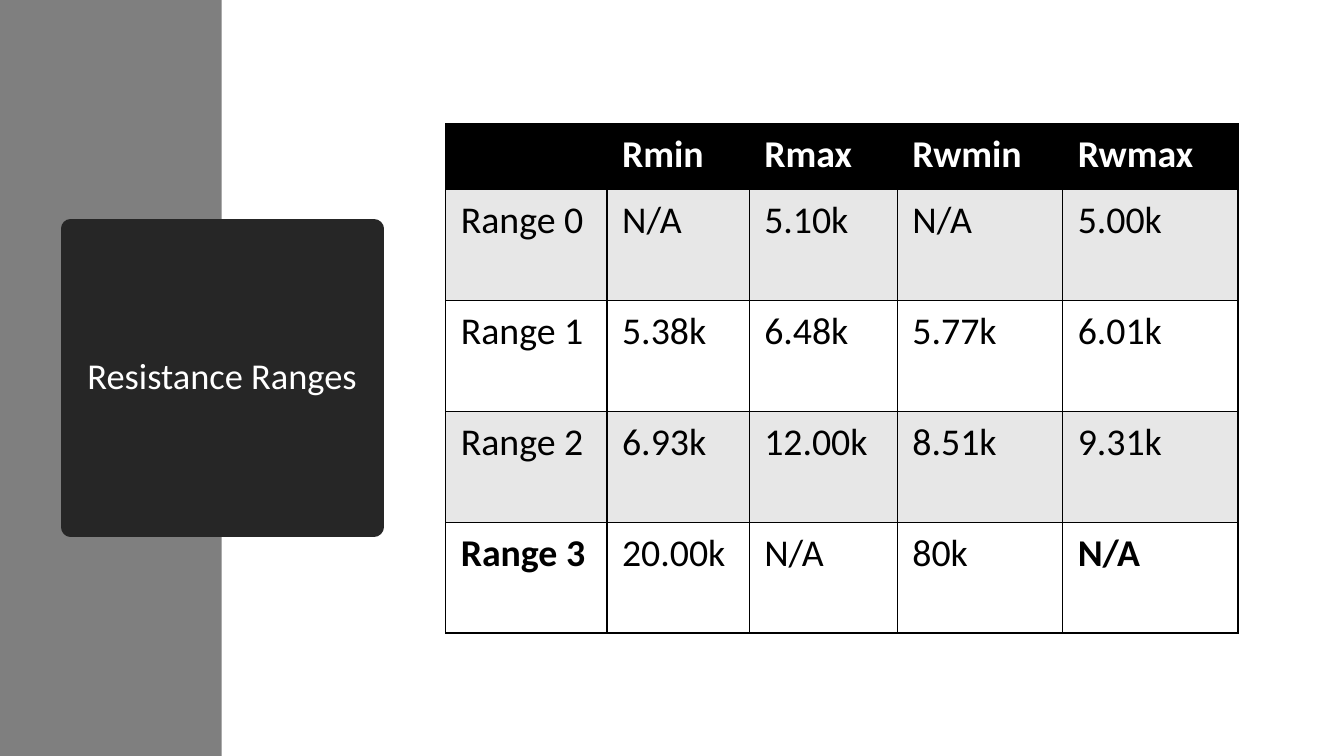
from lxml import etree
from pptx import Presentation
from pptx.dml.color import RGBColor as RGB
from pptx.enum.shapes import MSO_SHAPE as SHAPE
from pptx.enum.text import MSO_ANCHOR as ANCHOR, PP_ALIGN as ALIGN
from pptx.oxml.ns import qn
from pptx.util import Inches, Pt

COLORS = {
    "side": "7F7F7F",
    "title": "262626",
    "black": "000000",
    "white": "FFFFFF",
    "band": "E7E7E7",
}
HEADER = ["", "Rmin", "Rmax", "Rwmin", "Rwmax"]
RANGES = [
    ["Range 0", "N/A", "5.10k", "N/A", "5.00k"],
    ["Range 1", "5.38k", "6.48k", "5.77k", "6.01k"],
    ["Range 2", "6.93k", "12.00k", "8.51k", "9.31k"],
    ["Range 3", "20.00k", "N/A", "80k", "N/A"],
]
COL_WIDTHS = [1.6, 1.41, 1.47, 1.64, 1.74]
ROW_HEIGHTS = [0.65] + [1.1] * len(RANGES)
BOLD_CELLS = {(4, 0), (4, 4)} | {(0, c) for c in range(len(HEADER))}


class SlideBuilder:
    font = "Calibri"

    def __init__(self, slide):
        self.slide = slide

    def color(self, name):
        return RGB.from_string(COLORS[name])

    def fill(self, target, name):
        target.fill.solid()
        target.fill.fore_color.rgb = self.color(name)

    def run(self, p, text, size, color, bold=False):
        r = p.add_run()
        r.text = text
        r.font.name = self.font
        r.font.size = Pt(size)
        r.font.bold = bold
        r.font.color.rgb = self.color(color)

    def box(self, left, top, width, height, color, border=0):
        sp = self.slide.shapes.add_shape(
            SHAPE.RECTANGLE, Inches(left), Inches(top), Inches(width), Inches(height))
        sp.shadow.inherit = False
        self.fill(sp, color)
        if border:
            self.fill(sp.line, color)
            sp.line.width = Pt(border)
            etree.SubElement(sp.line._get_or_add_ln(), qn("a:round"))
        else:
            sp.line.fill.background()
        return sp

    def title(self, sp, text):
        tf = sp.text_frame
        tf.word_wrap = True
        tf.vertical_anchor = ANCHOR.MIDDLE
        p = tf.paragraphs[0]
        p.alignment = ALIGN.CENTER
        p.line_spacing = 0.9
        self.run(p, text, 26, "white")

    def borders(self, cell):
        tc_pr = cell._tc.get_or_add_tcPr()
        for i, side in enumerate(("lnL", "lnR", "lnT", "lnB")):
            ln = etree.Element(qn(f"a:{side}"), w=str(Pt(1)))
            solid = etree.SubElement(ln, qn("a:solidFill"))
            etree.SubElement(solid, qn("a:srgbClr"), val=COLORS["black"])
            tc_pr.insert(i, ln)

    def table(self, left, top, rows):
        table = self.slide.shapes.add_table(
            len(rows), len(rows[0]), Inches(left), Inches(top),
            Inches(sum(COL_WIDTHS)), Inches(sum(ROW_HEIGHTS))).table
        for col, width in zip(table.columns, COL_WIDTHS):
            col.width = Inches(width)
        for row, height in zip(table.rows, ROW_HEIGHTS):
            row.height = Inches(height)
        for i, values in enumerate(rows):
            back = "black" if i == 0 else "band" if i % 2 else "white"
            for j, value in enumerate(values):
                cell = table.cell(i, j)
                cell.margin_left = cell.margin_right = Inches(0.15)
                cell.margin_top = cell.margin_bottom = Inches(0.08)
                self.fill(cell, back)
                self.borders(cell)
                if value:
                    self.run(cell.text_frame.paragraphs[0], value, 27,
                             "black" if i else "white", (i, j) in BOLD_CELLS)


def main():
    prs = Presentation()
    prs.slide_width, prs.slide_height = Inches(13.33), Inches(7.5)
    s = SlideBuilder(prs.slides.add_slide(prs.slide_layouts[6]))
    s.box(0, 0, 2.2, 7.5, "side")
    s.title(s.box(0.7, 2.27, 3.01, 2.96, "title", 13.75), "Resistance Ranges")
    s.table(4.42, 1.23, [HEADER] + RANGES)
    prs.save("out.pptx")


if __name__ == "__main__":
    main()
